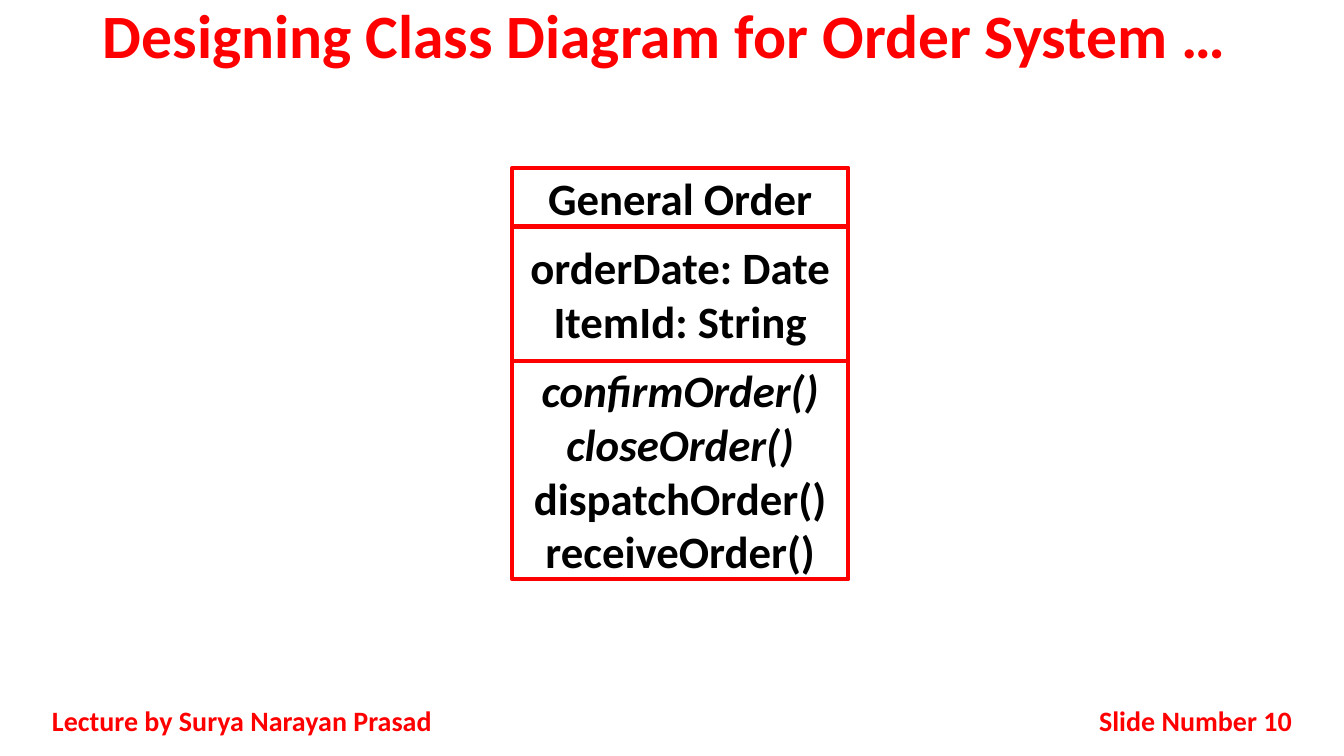
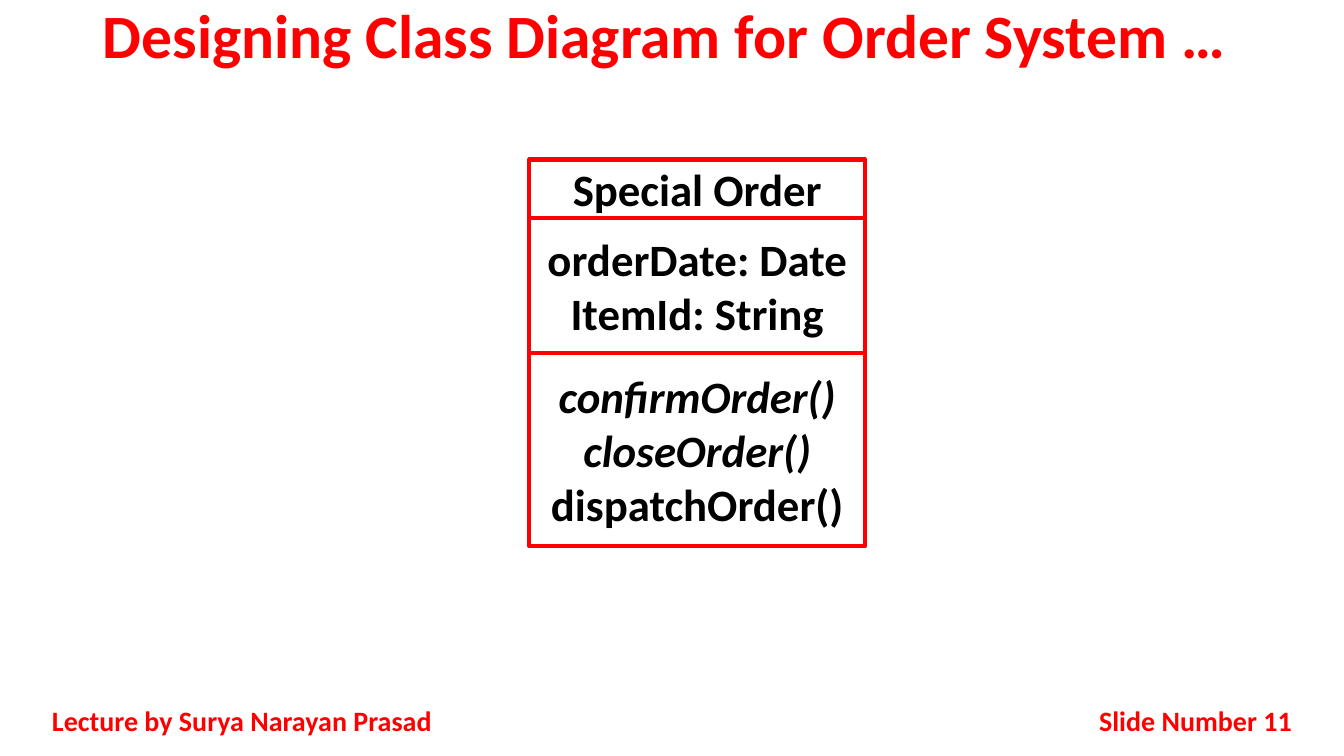
from pptx import Presentation
from pptx.dml.color import RGBColor
from pptx.enum.shapes import MSO_SHAPE
from pptx.enum.text import MSO_ANCHOR, MSO_AUTO_SIZE, PP_ALIGN
from pptx.util import Cm, Pt

RECTANGLE = MSO_SHAPE.RECTANGLE
TOP, MIDDLE = MSO_ANCHOR.TOP, MSO_ANCHOR.MIDDLE
NO_AUTOFIT = MSO_AUTO_SIZE.NONE
CENTER, RIGHT, JUSTIFY = PP_ALIGN.CENTER, PP_ALIGN.RIGHT, PP_ALIGN.JUSTIFY

COLORS = {"accent": "FF0000", "text": "000000"}
FONT = "Calibri"
SLIDE_WIDTH, SLIDE_HEIGHT = 33.87, 19.05
TITLE_ONLY = 5

TITLE = "Designing Class Diagram for Order System … "
LECTURER = "Lecture by Surya Narayan Prasad"
ATTRIBUTES = ["orderDate: Date", "ItemId: String"]
ABSTRACT_METHODS = ["confirmOrder()", "closeOrder()"]

CLASS_SLIDES = [
    {
        "number": 10,
        "name": "General Order",
        "methods": ABSTRACT_METHODS + ["dispatchOrder()", "receiveOrder()"],
        "left": 12.91,
        "top": 4.23,
        "methods_height": 5.5,
    },
    {
        "number": 11,
        "name": "Special Order",
        "methods": ABSTRACT_METHODS + ["dispatchOrder()"],
        "left": 13.34,
        "top": 4.02,
        "methods_height": 4.87,
    },
]


class Deck:
    CLASS_WIDTH = 8.47
    NAME_HEIGHT = 1.48
    ATTRIBUTES_HEIGHT = 3.39
    FOOTER_TOP = 17.65
    FOOTER_HEIGHT = 1.02

    def __init__(self):
        self.presentation = Presentation()
        self.presentation.slide_width = Cm(SLIDE_WIDTH)
        self.presentation.slide_height = Cm(SLIDE_HEIGHT)
        self.slide = None

    def new_slide(self, title, number):
        layout = self.presentation.slide_layouts[TITLE_ONLY]
        self.slide = self.presentation.slides.add_slide(layout)
        self.title(title)
        self.footer(LECTURER, 1.06, 10.58, JUSTIFY)
        self.footer(f"Slide Number {number}", 25.82, 6.99, RIGHT)

    def set_text(self, shape, lines, size, color, alignment, anchor=MIDDLE):
        frame = shape.text_frame
        frame.text = "\n".join(lines)
        frame.word_wrap = True
        frame.auto_size = NO_AUTOFIT
        frame.vertical_anchor = anchor
        for paragraph in frame.paragraphs:
            paragraph.alignment = alignment
            for run in paragraph.runs:
                run.font.name = FONT
                run.font.size = Pt(size)
                run.font.bold = True
                run.font.italic = run.text in ABSTRACT_METHODS
                run.font.color.rgb = RGBColor.from_string(COLORS[color])

    def title(self, text):
        shape = self.slide.shapes.title
        shape.left, shape.top = Cm(0), Cm(0)
        shape.width, shape.height = Cm(SLIDE_WIDTH), Cm(2.12)
        self.set_text(shape, [text], 44, "accent", CENTER, TOP)
        shape.text_frame.paragraphs[0].line_spacing = 0.9

    def footer(self, text, left, width, alignment):
        shape = self.slide.shapes.add_textbox(
            Cm(left), Cm(self.FOOTER_TOP), Cm(width), Cm(self.FOOTER_HEIGHT)
        )
        self.set_text(shape, [text], 20, "accent", alignment)

    def compartment(self, group, lines, left, top, height):
        shape = group.shapes.add_shape(
            RECTANGLE, Cm(left), Cm(top), Cm(self.CLASS_WIDTH), Cm(height)
        )
        shape.shadow.inherit = False
        shape.fill.background()
        shape.line.color.rgb = RGBColor.from_string(COLORS["accent"])
        shape.line.width = Pt(3)
        self.set_text(shape, lines, 32, "text", CENTER)

    def class_box(self, name, attributes, methods, left, top, methods_height):
        group = self.slide.shapes.add_group_shape()
        for lines, height in (
            ([name], self.NAME_HEIGHT),
            (attributes, self.ATTRIBUTES_HEIGHT),
            (methods, methods_height),
        ):
            self.compartment(group, lines, left, top, height)
            top += height


def main():
    deck = Deck()
    for entry in CLASS_SLIDES:
        deck.new_slide(TITLE, entry["number"])
        deck.class_box(
            entry["name"],
            ATTRIBUTES,
            entry["methods"],
            entry["left"],
            entry["top"],
            entry["methods_height"],
        )
    deck.presentation.save("out.pptx")


if __name__ == "__main__":
    main()
